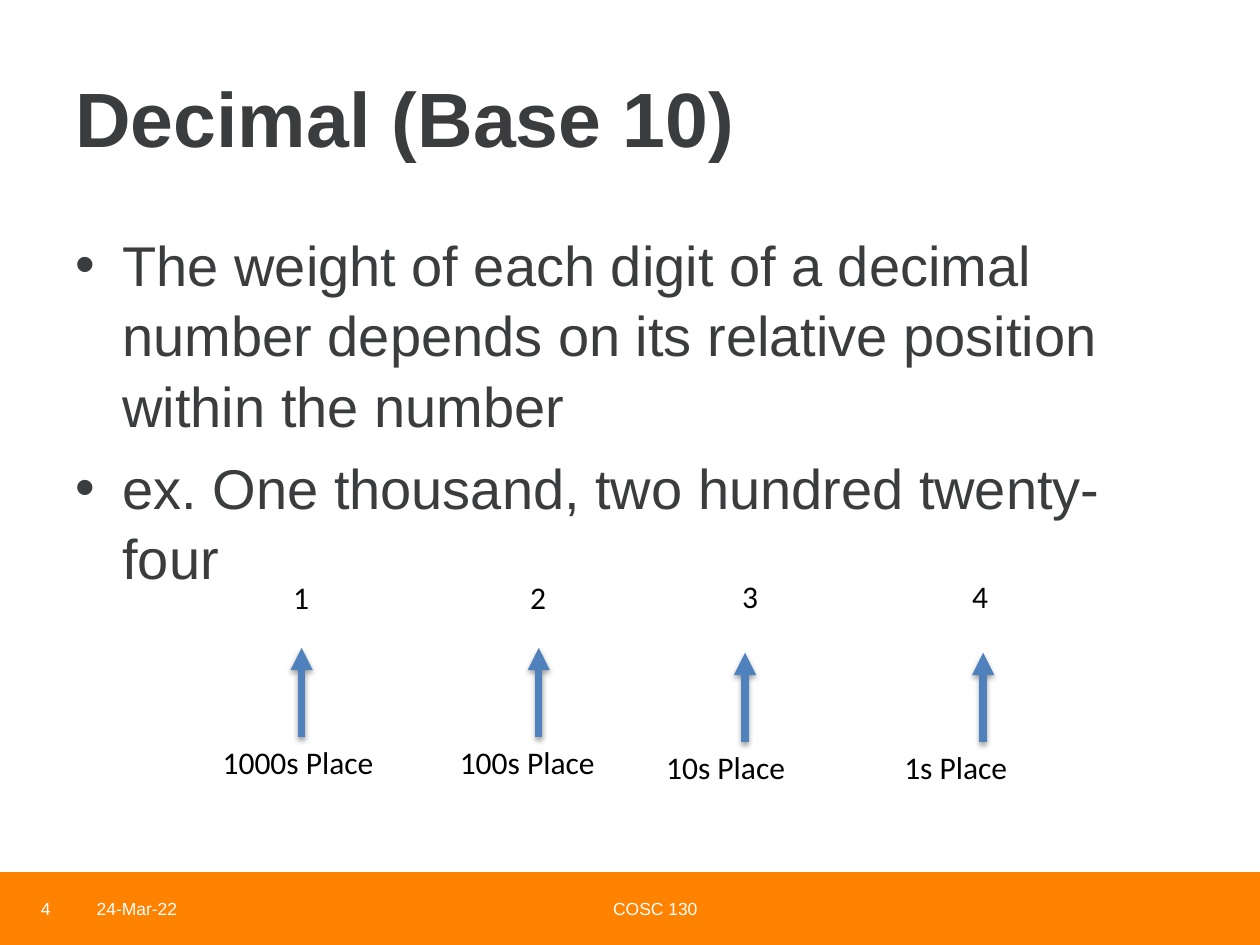
import pptx
import pptx.util
import pptx.dml.color
import pptx.enum.shapes
import pptx.enum.text
import pptx.oxml
import pptx.oxml.ns
from lxml import etree

Cm, Pt = pptx.util.Cm, pptx.util.Pt
RGB = pptx.dml.color.RGBColor
ALIGN = pptx.enum.text.PP_ALIGN
ANCHOR = pptx.enum.text.MSO_ANCHOR

COLORS = {"bar": "FF8200", "ink": "3B3C3E", "white": "FFFFFF",
          "black": "000000", "arrow": "4F81BD"}

TITLE = "Decimal (Base 10)"
BULLETS = [
    "The weight of each digit of a decimal number depends on its relative "
    "position within the number",
    "ex. One thousand, two hundred twenty-four",
]
# text, left, width, alignment
FOOTER = [
    ("4", 0.23, 1.04, ALIGN.RIGHT),
    ("24-Mar-22", 1.7, 3.63, ALIGN.LEFT),
    ("COSC 130", 8.69, 9.04, ALIGN.CENTER),
]
# digit, digit left, digit top, label, label left, label top
PLACES = [
    ("1", 5.66, 11.53, "1000s Place", 4.24, 14.86),
    ("2", 10.44, 11.53, "100s Place", 9.02, 14.86),
    ("3", 14.71, 11.51, "10s Place", 13.18, 14.96),
    ("4", 19.35, 11.51, "1s Place", 17.98, 14.96),
]
LABEL_WIDTH, LABEL_HEIGHT, ARROW_LENGTH = 3.68, 1.02, 1.8


def add_text(page, lines, left, top, width, height, size=18, font="Calibri",
             color="black", bold=False, align=ALIGN.LEFT, anchor=ANCHOR.TOP,
             wrap=True, bullet=False):
    box = page.shapes.add_textbox(Cm(left), Cm(top), Cm(width), Cm(height))
    frame = box.text_frame
    frame.word_wrap = wrap
    frame.vertical_anchor = anchor
    for index, line in enumerate(lines):
        para = frame.paragraphs[0] if index == 0 else frame.add_paragraph()
        para.alignment = align
        span = para.add_run()
        span.text = line
        span.font.size, span.font.name, span.font.bold = Pt(size), font, bold
        span.font.color.rgb = RGB.from_string(COLORS[color])
        if bullet:
            para.line_spacing = 1.05
            para.space_after = Pt(size * 0.2)
            props = para._p.get_or_add_pPr()
            props.set("marL", str(Cm(0.95)))
            props.set("indent", str(-Cm(0.95)))
            etree.SubElement(props, pptx.oxml.ns.qn("a:buFont"), typeface="Arial")
            etree.SubElement(props, pptx.oxml.ns.qn("a:buChar"), char="•")
    return box


def add_arrow(page, label):
    x, y = label.left + label.width // 2, label.top
    arrow = page.shapes.add_connector(
        pptx.enum.shapes.MSO_CONNECTOR.STRAIGHT, x, y, x, y - Cm(ARROW_LENGTH))
    arrow.begin_connect(label, 0)
    arrow.line.width = Pt(4.25)
    arrow.line.color.rgb = RGB.from_string(COLORS["arrow"])
    etree.SubElement(arrow.line._get_or_add_ln(),
                     pptx.oxml.ns.qn("a:tailEnd"), type="triangle")
    # Soft shadow straight below
    arrow._element.spPr.append(pptx.oxml.parse_xml(
        f'<a:effectLst {pptx.oxml.ns.nsdecls("a")}>'
        '<a:outerShdw blurRad="40000" dist="20000" dir="5400000" rotWithShape="0">'
        f'<a:srgbClr val="{COLORS["black"]}"><a:alpha val="38000"/></a:srgbClr>'
        '</a:outerShdw></a:effectLst>'))


def main():
    deck = pptx.Presentation()
    deck.slide_width, deck.slide_height = Cm(25.4), Cm(19.05)
    page = deck.slides.add_slide(deck.slide_layouts[6])

    # Footer bar
    bar = page.shapes.add_shape(pptx.enum.shapes.MSO_SHAPE.RECTANGLE,
                                0, Cm(17.58), deck.slide_width, Cm(1.47))
    bar.shadow.inherit = False
    bar.fill.solid()
    bar.fill.fore_color.rgb = RGB.from_string(COLORS["bar"])
    bar.line.fill.background()
    for text, left, width, align in FOOTER:
        add_text(page, [text], left, 17.81, width, 1.02, size=10, font="Arial",
                 color="white", align=align, anchor=ANCHOR.MIDDLE)

    # Title and bullets
    add_text(page, [TITLE], 1.27, 0.76, 22.86, 3.18, size=44, font="Arial",
             color="ink", bold=True, anchor=ANCHOR.MIDDLE)
    add_text(page, BULLETS, 1.27, 4.45, 22.86, 10, size=32, font="Arial",
             color="ink", bullet=True)

    # Digits with an arrow rising from each place label
    for digit, digit_left, digit_top, name, left, top in PLACES:
        add_text(page, [digit], digit_left, digit_top, 0.84, LABEL_HEIGHT, wrap=False)
        label = add_text(page, [name], left, top, LABEL_WIDTH, LABEL_HEIGHT)
        add_arrow(page, label)

    deck.save("out.pptx")


if __name__ == "__main__":
    main()
